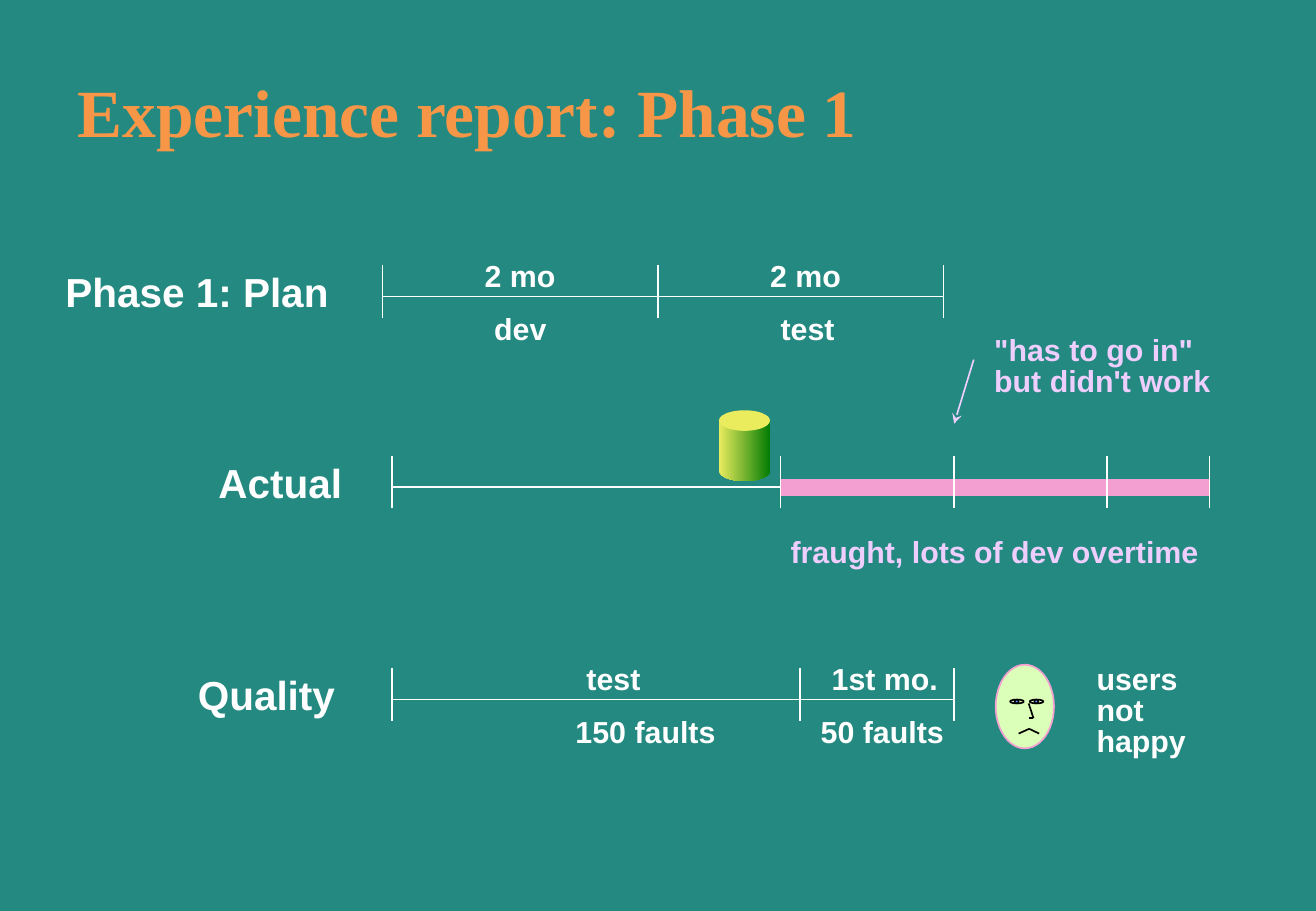
from lxml.etree import SubElement
from pptx import Presentation
from pptx.dml.color import RGBColor
from pptx.enum.shapes import MSO_CONNECTOR, MSO_SHAPE
from pptx.enum.text import MSO_ANCHOR, PP_ALIGN
from pptx.oxml.ns import qn
from pptx.util import Cm, Pt

WHITE, BLACK, PINK, LILAC = "FFFFFF", "000000", "F39FD1", "EDCEFC"
YELLOW, GREEN, SKIN, IRIS = "EAEC5E", "037C03", "DBFFB8", "618FFD"


def paint(fill, colour):
    fill.solid()
    fill.fore_color.rgb = RGBColor.from_string(colour)


def draw_line(x1, y1, x2, y2, colour=WHITE, width=1):
    connector = slide.shapes.add_connector(
        MSO_CONNECTOR.STRAIGHT, Cm(x1), Cm(y1), Cm(x2), Cm(y2))
    paint(connector.line.fill, colour)
    connector.line.width = Pt(width)
    properties = connector.line._get_or_add_ln().getparent()
    SubElement(properties, qn("a:effectLst"))
    return connector


prs = Presentation()
prs.slide_width, prs.slide_height = Cm(27.53), Cm(19.05)
slide = prs.slides.add_slide(prs.slide_layouts[5])
paint(slide.background.fill, "248980")

# Title
title = slide.shapes.title
title.left, title.top, title.width, title.height = Cm(1.37), Cm(1.47), Cm(23.39), Cm(1.7)
title.text_frame.text = "Experience report: Phase 1"
title.text_frame.vertical_anchor = MSO_ANCHOR.MIDDLE
heading = title.text_frame.paragraphs[0]
heading.alignment = PP_ALIGN.LEFT
for attribute, value in {"name": "Times New Roman", "size": Pt(40), "bold": True}.items():
    setattr(heading.font, attribute, value)
paint(heading.font.fill, "F79646")

# Timelines: axis height and tick positions
PLAN, ACTUAL, QUALITY = 6.2, 10.19, 14.63
timelines = {
    PLAN: [8, 13.77, 19.74],
    ACTUAL: [8.2, 16.33, 19.96, 23.16, 25.3],
    QUALITY: [8.2, 16.74, 19.96],
}
for axis, ticks in timelines.items():
    draw_line(ticks[0], axis, ticks[-1], axis)
    if axis == ACTUAL:
        draw_line(ticks[1], axis, ticks[-1], axis, PINK, 10)
    for tick in ticks:
        draw_line(tick, axis - 0.66, tick, axis + 0.44)

# Arrow to the release that had to go in
arrow = draw_line(20.37, 7.52, 19.96, 8.86, LILAC)
SubElement(arrow.line._get_or_add_ln(), qn("a:tailEnd"), type="stealth")

# Labels: left, top, width, size, line spacing, colour, lines
name, above, below = -0.64, -0.79, 0.33
labels = [
    (1.19, PLAN + name, 6.5, 24, 0.97, WHITE, ["Phase 1: Plan"]),
    (4.39, ACTUAL + name, 3.6, 24, 0.97, WHITE, ["Actual"]),
    (3.96, QUALITY + name, 3.6, 24, 0.97, WHITE, ["Quality"]),
    (9.96, PLAN + above, 2, 18, 0.85, WHITE, ["2 mo"]),
    (15.93, PLAN + above, 2, 18, 0.85, WHITE, ["2 mo"]),
    (10.16, PLAN + below, 1.6, 18, 0.85, WHITE, ["dev"]),
    (16.15, PLAN + below, 1.6, 18, 0.85, WHITE, ["test"]),
    (20.62, 6.96, 5.1, 18, 0.85, LILAC, ['"has to go in"', "but didn't work"]),
    (16.36, 11.18, 9.2, 18, 0.85, LILAC, ["fraught, lots of dev overtime"]),
    (12.09, QUALITY + above, 1.6, 18, 0.85, WHITE, ["test"]),
    (11.86, QUALITY + below, 3.6, 18, 0.85, WHITE, ["150 faults"]),
    (17.22, QUALITY + above, 2.8, 18, 0.85, WHITE, ["1st mo."]),
    (16.99, QUALITY + below, 3.3, 18, 0.85, WHITE, ["50 faults"]),
    (22.76, QUALITY + above, 2.5, 18, 0.85, WHITE, ["users", "not", "happy"]),
]
margins = {"margin_left": Cm(0.18), "margin_right": Cm(0.18),
           "margin_top": Cm(0.08), "margin_bottom": Cm(0.08), "word_wrap": True}
for left, top, width, size, spacing, colour, lines in labels:
    height = len(lines) * size * 0.035 + 0.16
    frame = slide.shapes.add_textbox(Cm(left), Cm(top), Cm(width), Cm(height)).text_frame
    for attribute, value in margins.items():
        setattr(frame, attribute, value)
    frame.text = "\n".join(lines)
    for paragraph in frame.paragraphs:
        paragraph.line_spacing = spacing
        for attribute, value in {"name": "Arial", "size": Pt(size), "bold": True}.items():
            setattr(paragraph.font, attribute, value)
        paint(paragraph.font.fill, colour)

# Cylinder and unhappy face: kind, left, top, width, height, fill, outline
OVAL, BOX = MSO_SHAPE.OVAL, MSO_SHAPE.RECTANGLE
parts = [
    (OVAL, 15.04, 9.63, 1.07, 0.43, (YELLOW, GREEN), None),
    (BOX, 15.04, 8.79, 1.07, 1.07, (YELLOW, GREEN), None),
    (OVAL, 15.04, 8.58, 1.07, 0.43, (YELLOW,), None),
    (OVAL, 20.83, 13.9, 1.22, 1.75, (SKIN,), PINK),
]
for eye in (21.13, 21.54):
    parts += [(OVAL, eye, 14.63, 0.29, 0.08, (SKIN,), BLACK),
              (OVAL, eye + 0.1, 14.63, 0.08, 0.08, (IRIS,), BLACK)]
for kind, left, top, width, height, colours, outline in parts:
    part = slide.shapes.add_shape(kind, Cm(left), Cm(top), Cm(width), Cm(height))
    part.shadow.inherit = False
    if len(colours) == 1:
        paint(part.fill, colours[0])
    else:
        part.fill.gradient()
        part.fill.gradient_angle = 0
        for position, (stop, colour) in enumerate(zip(part.fill.gradient_stops, colours)):
            stop.position = position
            stop.color.rgb = RGBColor.from_string(colour)
    if outline:
        paint(part.line.fill, outline)
        part.line.width = Pt(1)
    else:
        part.line.fill.background()

# Nose and mouth
for stroke in [(21.52, 14.71, 21.62, 15.02), (21.62, 15.02, 21.52, 15.02),
               (21.31, 15.34, 21.53, 15.24), (21.53, 15.24, 21.74, 15.34)]:
    draw_line(*stroke, BLACK)

prs.save("out.pptx")
